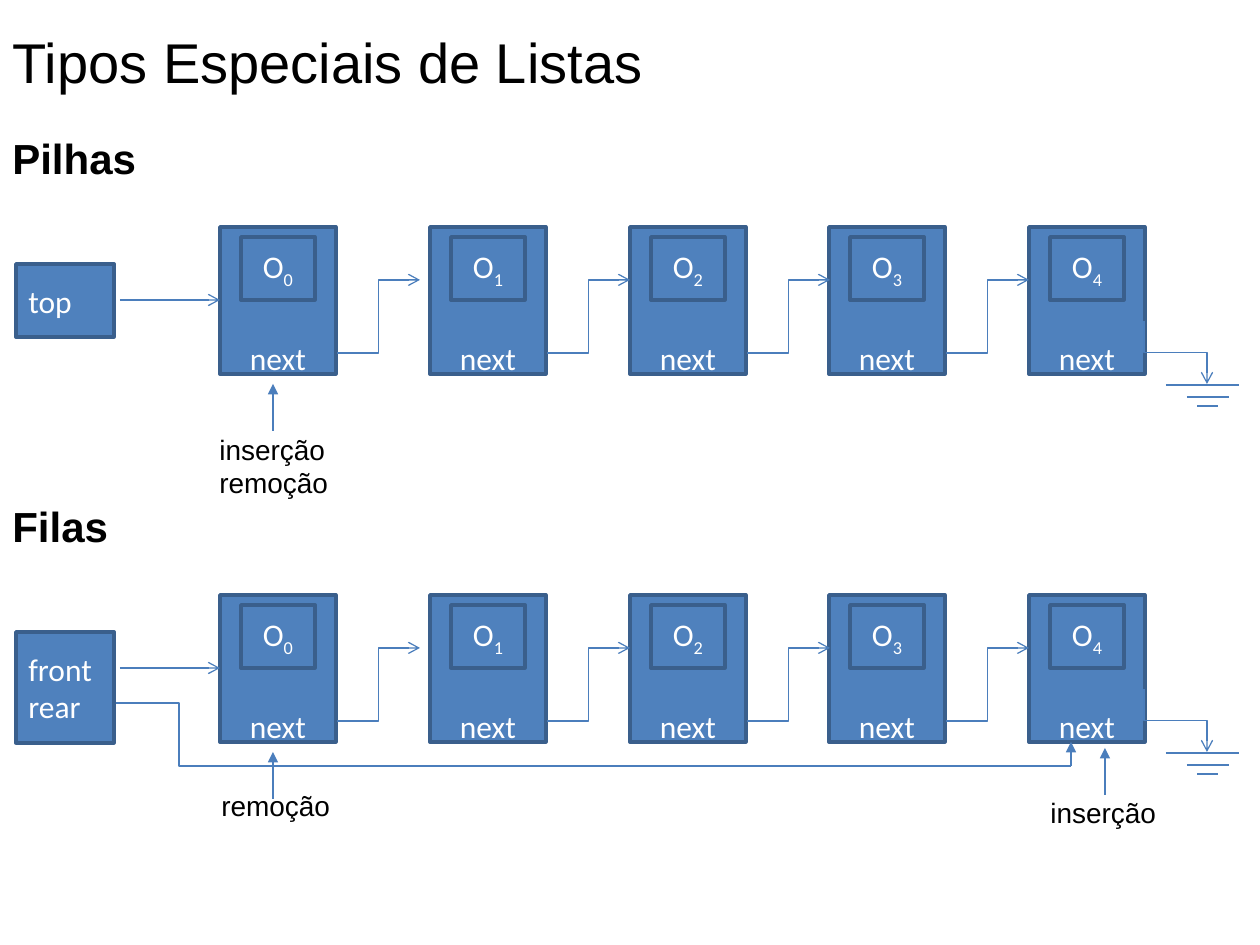
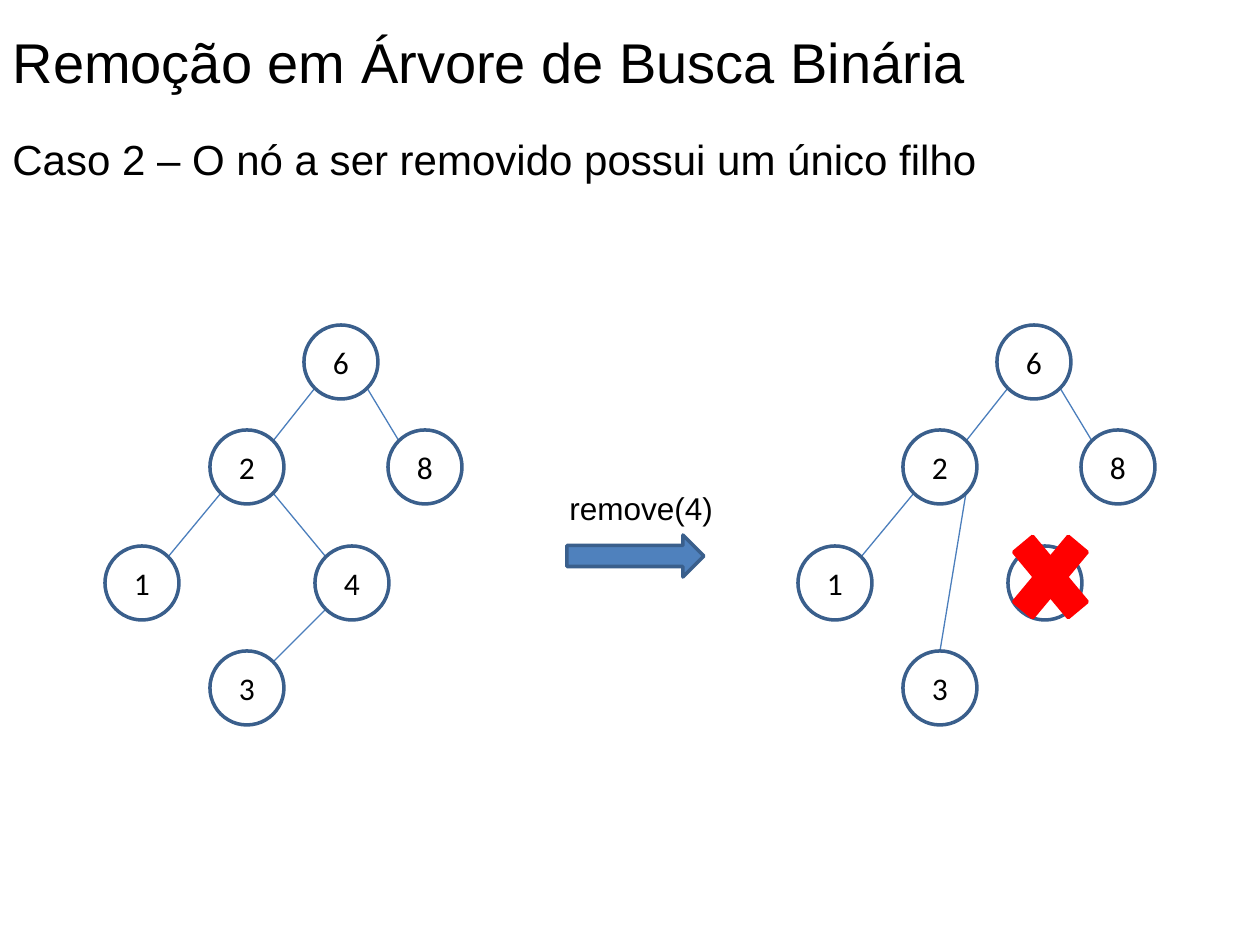
import pptx
import pptx.dml.color
import pptx.enum.shapes
import pptx.enum.text
import pptx.oxml
import pptx.oxml.ns
import pptx.util

SHAPES = pptx.enum.shapes.MSO_SHAPE
CONNECTORS = pptx.enum.shapes.MSO_CONNECTOR
ANCHORS = pptx.enum.text.MSO_ANCHOR
ALIGN = pptx.enum.text.PP_ALIGN
FIT = pptx.enum.text.MSO_AUTO_SIZE

SCALE = 914400 / 126
BLUE, OUTLINE, EDGE = "4F81BD", "3A5F8C", "4B7EBC"
BLACK, WHITE, RED = "000000", "FFFFFF", "FF0000"

TITLE_FONT = {"name": "Arial", "size": pptx.util.Pt(32), "bold": False}
HEADING_FONT = {"name": "Arial", "size": pptx.util.Pt(24), "bold": True}
SUBTITLE_FONT = {**HEADING_FONT, "bold": False}
LABEL_FONT = {"name": "Arial", "size": pptx.util.Pt(16)}
CALL_FONT = {"name": "Arial", "size": pptx.util.Pt(18)}
NODE_FONT = {"name": "Calibri", "size": pptx.util.Pt(18)}


def px(*lengths):
    """Turn pixel lengths into EMU."""
    return [pptx.util.Emu(round(length * SCALE)) for length in lengths]


def rgb(code):
    """Turn a hex string into a colour."""
    return pptx.dml.color.RGBColor.from_string(code)


def apply(target, values):
    """Set each attribute of a target from a dict."""
    for name, value in values.items():
        setattr(target, name, value)


class Deck:
    """Holds the presentation, its style and the current slide."""

    def __init__(self):
        """Start an empty 10 by 7.5 inch presentation."""
        self.presentation = pptx.Presentation()
        width, height = px(1260, 945)
        apply(self.presentation, {"slide_width": width, "slide_height": height})
        self.slide = None

    def new_slide(self, title, title_width):
        """Add a title-only slide with its title at the top left."""
        layout = self.presentation.slide_layouts[5]
        self.slide = self.presentation.slides.add_slide(layout)
        holder = self.slide.shapes.title
        left, top, width, height = px(0, 21, title_width, 80)
        apply(holder, {"left": left, "top": top, "width": width, "height": height})
        self.fill_text(holder, [title], TITLE_FONT, BLACK, ALIGN.LEFT,
                       vertical_anchor=ANCHORS.TOP, word_wrap=False,
                       auto_size=FIT.SHAPE_TO_FIT_TEXT)

    def fill_text(self, shape, lines, font, color, align, **frame_values):
        """Fill a shape with lines; a tuple is a base and its subscript."""
        frame = shape.text_frame
        apply(frame, frame_values)
        for index, line in enumerate(lines):
            paragraph = frame.add_paragraph() if index else frame.paragraphs[0]
            paragraph.alignment = align
            parts = line if isinstance(line, tuple) else (line,)
            for position, words in enumerate(parts):
                run = paragraph.add_run()
                run.text = words
                apply(run.font, font)
                run.font.color.rgb = rgb(color)
                if position:
                    run._r.get_or_add_rPr().set("baseline", "-25000")

    def text(self, box, lines, font, wrap=False):
        """Add a black text box."""
        self.fill_text(self.slide.shapes.add_textbox(*px(*box)), lines, font, BLACK,
                       ALIGN.LEFT, word_wrap=wrap, auto_size=FIT.SHAPE_TO_FIT_TEXT)

    def shape(self, kind, box, fill=BLUE, outline=OUTLINE):
        """Add a flat preset shape, hollow if fill is None."""
        shape = self.slide.shapes.add_shape(kind, *px(*box))
        shape.shadow.inherit = False
        if fill:
            shape.fill.solid()
            shape.fill.fore_color.rgb = rgb(fill)
        else:
            shape.fill.background()
        shape.line.color.rgb = rgb(outline)
        shape.line.width = pptx.util.Pt(2)
        return shape

    def box(self, box, lines, align=ALIGN.CENTER, **frame_values):
        """Add a blue rectangle with white text."""
        values = {"vertical_anchor": ANCHORS.MIDDLE, "word_wrap": True, **frame_values}
        self.fill_text(self.shape(SHAPES.RECTANGLE, box), lines, NODE_FONT, WHITE,
                       align, **values)

    def line(self, start, end, head=None, kind=CONNECTORS.STRAIGHT):
        """Add a thin connector, with an arrowhead at its end if named."""
        line = self.slide.shapes.add_connector(kind, *px(*start, *end))
        line.line.color.rgb = rgb(EDGE)
        line.line.width = pptx.util.Pt(0.75)
        namespace = pptx.oxml.ns.nsdecls("a")
        if head:
            line.line._get_or_add_ln().append(pptx.oxml.parse_xml(
                f'<a:tailEnd {namespace} type="{head}"/>'))
        line._element.spPr.append(pptx.oxml.parse_xml(f'<a:effectLst {namespace}/>'))
        return line

    def operation(self, x, tip, label_box, lines):
        """Add an upward arrow and the names of the operations below it."""
        self.line((x, tip + 47), (x, tip), "triangle")
        self.text(label_box, lines, LABEL_FONT)

    def linked_list(self, heading, top, pointers, pointer_height):
        """Draw a headed chain of nodes that ends in a ground symbol."""
        self.text((0, top - 101, 1207, 64), [heading], HEADING_FONT, wrap=True)
        node_lefts = (220, 430, 630, 829, 1029)
        for index, left in enumerate(node_lefts):
            self.box((left, top, 116, 147), ["next"], vertical_anchor=ANCHORS.TOP,
                     margin_top=px(112)[0], margin_bottom=0)
            self.box((left + 21, top + 10, 74, 63), [("O", str(index))])
        for left in node_lefts[:-1]:
            self.line((left + 117, top + 126), (left + 200, top + 53), "arrow",
                      CONNECTORS.ELBOW)
        last = node_lefts[-1]
        to_ground = self.line((last + 178, top + 94), (last + 115, top + 157),
                              "arrow", CONNECTORS.ELBOW)
        to_ground._element.spPr.find(pptx.oxml.ns.qn("a:xfrm")).set("rot", "16200000")
        for drop, start, end in ((158, 137, 210), (170, 158, 200), (179, 168, 189)):
            self.line((last + start, top + drop), (last + end, top + drop))
        self.box((16, top + 37, 98, pointer_height), pointers, ALIGN.LEFT)
        self.line((120, top + 73), (220, top + 73), "arrow")

    def tree(self, centres, edges, shift):
        """Draw round nodes and the edges from parents to children."""
        radius, diagonal = 37, 26
        for parent, child in edges:
            (parent_x, parent_y), (child_x, child_y) = centres[parent], centres[child]
            side = 1 if child_x >= parent_x else -1
            if child_x == parent_x:
                end = (child_x + shift, child_y - radius)
            else:
                end = (child_x + shift - side * diagonal, child_y - diagonal)
            self.line((parent_x + shift + side * diagonal, parent_y + diagonal), end)
        for value, (x, y) in centres.items():
            node = self.shape(SHAPES.OVAL, (x + shift - radius, y - radius,
                                            2 * radius, 2 * radius), fill=None)
            self.fill_text(node, [str(value)], NODE_FONT, BLACK, ALIGN.CENTER,
                           vertical_anchor=ANCHORS.MIDDLE, word_wrap=True)


def lists_slide(deck):
    """Stack and queue as linked lists."""
    deck.new_slide("Tipos Especiais de Listas", 660)
    deck.linked_list("Filas", 595, ["front", "rear"], 111)
    deck.line((116, 703), (242, 766), kind=CONNECTORS.ELBOW)
    deck.line((242, 766), (1071, 766))
    deck.line((1071, 766), (1071, 742), "triangle")
    deck.linked_list("Pilhas", 227, ["top"], 73)
    deck.operation(273, 384, (207, 426, 136, 81), ["inserção", "remoção"])
    deck.operation(273, 752, (209, 782, 136, 47), ["remoção"])
    deck.operation(1105, 748, (1038, 789, 132, 47), ["inserção"])


def removal_slide(deck):
    """Removal of a node with one child, before and after."""
    deck.new_slide("Remoção em Árvore de Busca Binária", 985)
    deck.text((0, 127, 1239, 64),
              ["Caso 2 – O nó a ser removido possui um único filho"],
              SUBTITLE_FONT, wrap=True)
    centres = {6: (341, 362), 8: (425, 467), 2: (247, 467),
               4: (352, 583), 3: (247, 688), 1: (142, 583)}
    kept_edges = [(6, 8), (6, 2), (2, 1)]
    deck.tree(centres, kept_edges + [(2, 4), (4, 3)], 0)
    deck.text((557, 483, 170, 50), ["remove(4)"], CALL_FONT)
    deck.shape(SHAPES.RIGHT_ARROW, (567, 535, 137, 42))
    deck.tree(centres, kept_edges + [(2, 3)], 693)
    deck.shape(SHAPES.MATH_MULTIPLY, (998, 514, 105, 126), RED, RED)


def main():
    """Build both slides and save them."""
    deck = Deck()
    lists_slide(deck)
    removal_slide(deck)
    deck.presentation.save("out.pptx")


main()
